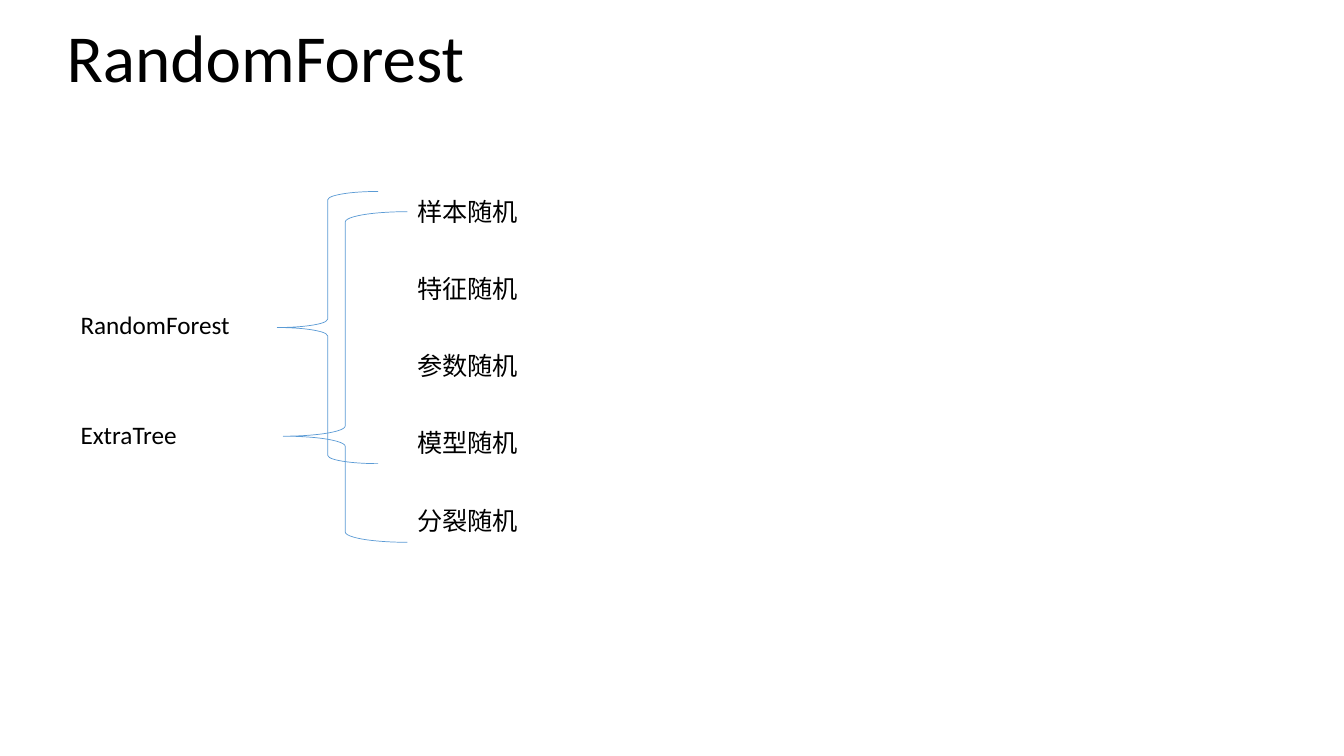
from dataclasses import dataclass

from pptx import Presentation
from pptx.dml.color import RGBColor
from pptx.enum.shapes import MSO_SHAPE
from pptx.enum.text import MSO_ANCHOR, MSO_AUTO_SIZE, PP_ALIGN
from pptx.util import Inches, Pt


@dataclass(frozen=True)
class Theme:
    font: str = "Calibri"
    text: RGBColor = RGBColor(0x00, 0x00, 0x00)
    brace: RGBColor = RGBColor(0x5B, 0x9B, 0xD5)
    title_size: int = 48
    label_size: int = 18
    brace_width: float = 0.5


THEME = Theme()
LABEL_HEIGHT = 0.4
MODELS = [
    ("RandomForest", 1.12, (2.05, 0, 1, 2.7), 0.5),
    ("ExtraTree", 2.21, (2.11, 0.2, 1.23, 3.28), 0.679),
]
RANDOMNESS = ["样本随机", "特征随机", "参数随机", "模型随机", "分裂随机"]


def place(shape, left, top, width, height):
    shape.left, shape.top = Inches(left), Inches(top)
    shape.width, shape.height = Inches(width), Inches(height)


def write(shape, text, size):
    frame = shape.text_frame
    frame.word_wrap = True
    frame.auto_size = MSO_AUTO_SIZE.NONE
    frame.vertical_anchor = MSO_ANCHOR.TOP
    frame.text = text
    paragraph = frame.paragraphs[0]
    paragraph.alignment = PP_ALIGN.LEFT
    paragraph.font.name = THEME.font
    paragraph.font.size = Pt(size)
    paragraph.font.color.rgb = THEME.text


def add_title(slide, text, left, top, width, height):
    title = slide.shapes.title
    place(title, left, top, width, height)
    write(title, text, THEME.title_size)


def add_label(slide, text, left, top, width):
    label = slide.shapes.add_textbox(
        Inches(left), Inches(top), Inches(width), Inches(LABEL_HEIGHT)
    )
    write(label, text, THEME.label_size)


def add_brace(slide, left, top, width, height, tip):
    brace = slide.shapes.add_shape(
        MSO_SHAPE.LEFT_BRACE, Inches(left), Inches(top), Inches(width), Inches(height)
    )
    brace.adjustments[0] = 0.083
    brace.adjustments[1] = tip
    brace.shadow.inherit = False
    brace.fill.background()
    brace.line.color.rgb = THEME.brace
    brace.line.width = Pt(THEME.brace_width)


def add_models(slide, left, top, label_width):
    for name, label_offset, (x, y, width, height), tip in MODELS:
        add_label(slide, name, left, top + label_offset, label_width)
        add_brace(slide, left + x, top + y, width, height, tip)


def add_randomness(slide, left, top, width, height):
    pitch = (height - LABEL_HEIGHT) / (len(RANDOMNESS) - 1)
    for row, text in enumerate(RANDOMNESS):
        add_label(slide, text, left, top + row * pitch, width)


def main():
    presentation = Presentation()
    presentation.slide_width = Inches(13.33)
    presentation.slide_height = Inches(7.5)
    slide = presentation.slides.add_slide(presentation.slide_layouts[5])
    add_title(slide, "RandomForest", 0.56, 0.1, 5.95, 0.91)
    add_models(slide, 0.7, 1.9, 2.05)
    add_randomness(slide, 4.04, 1.9, 3.74, 3.46)
    presentation.save("out.pptx")


if __name__ == "__main__":
    main()
